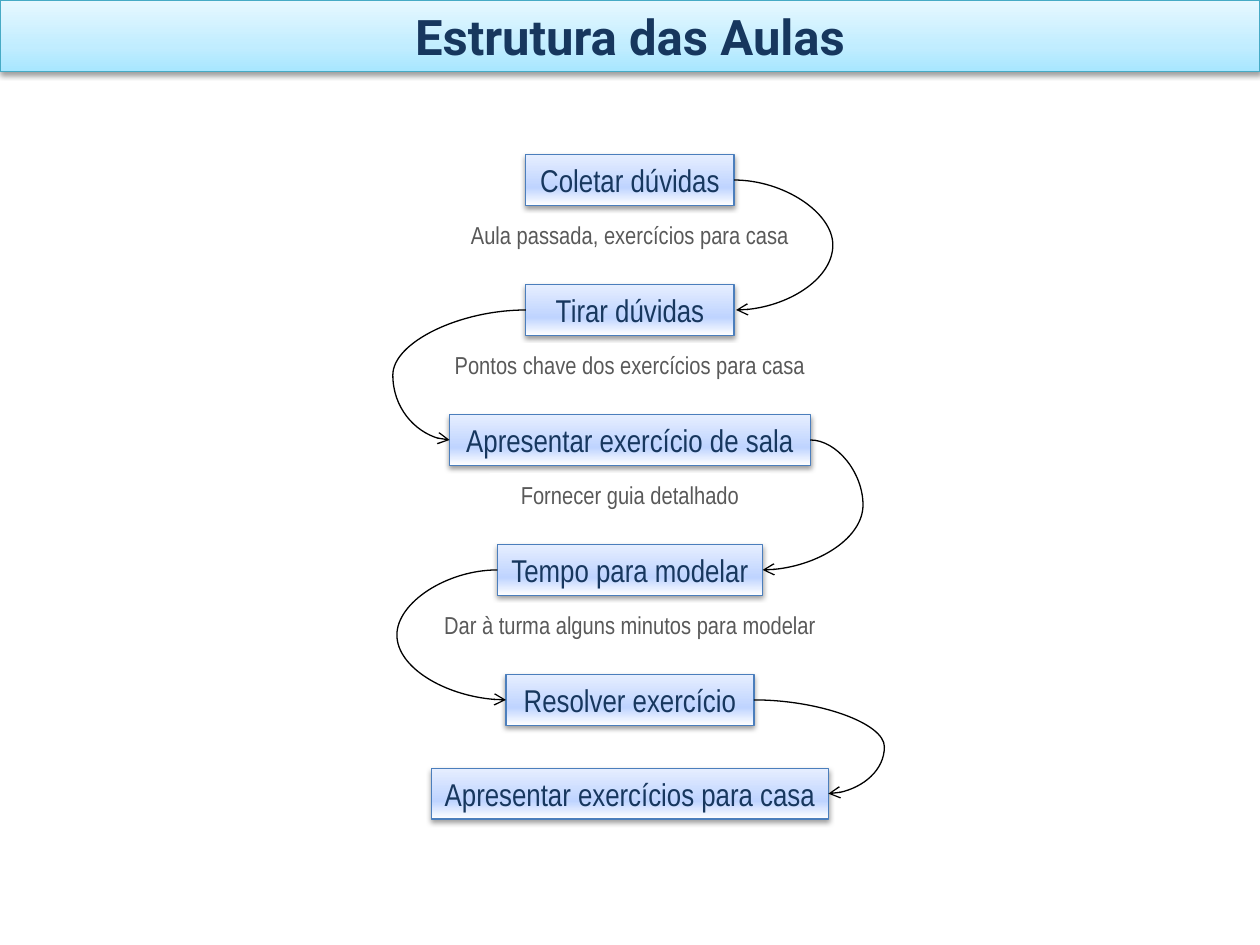
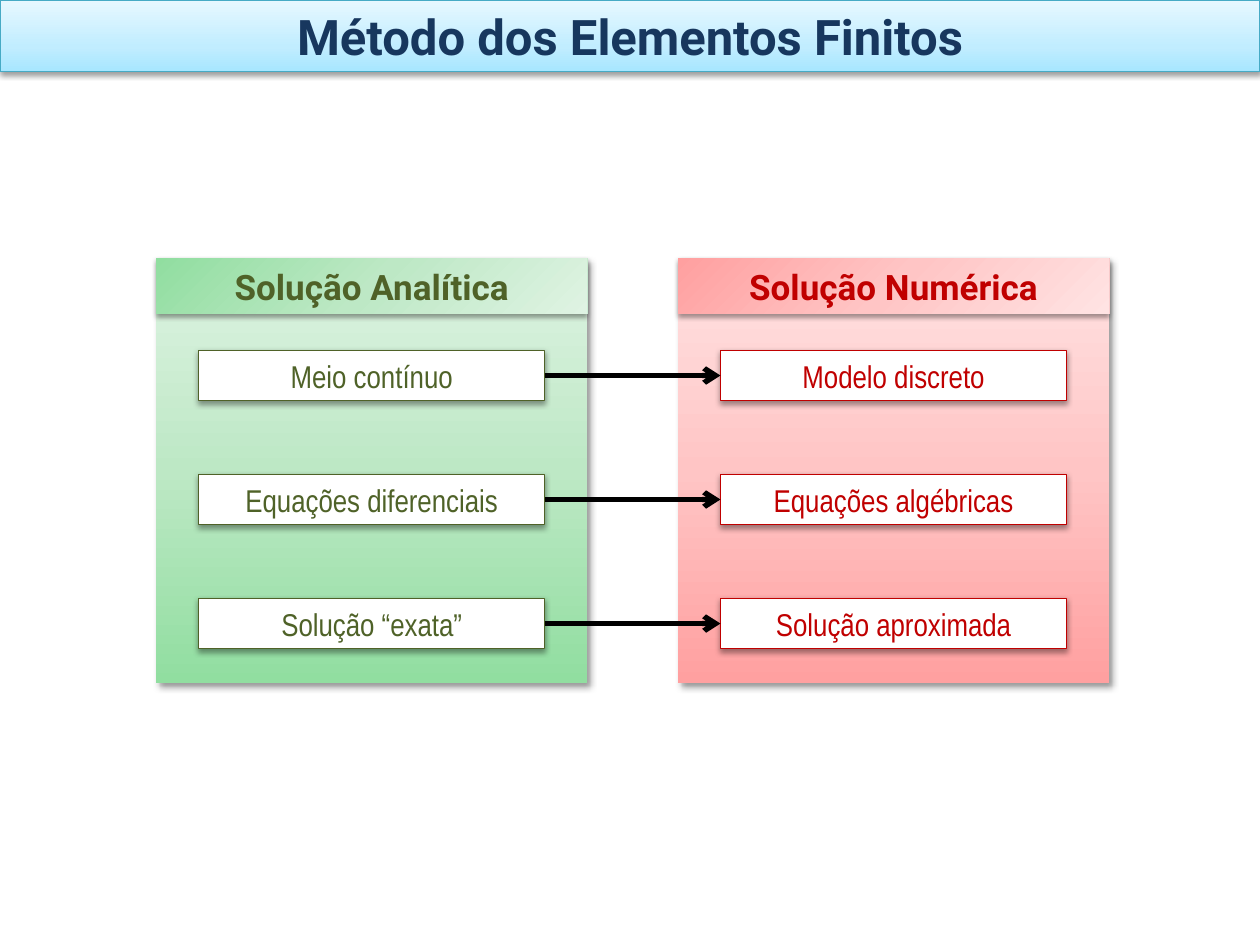
from copy import deepcopy
from dataclasses import dataclass

from pptx import Presentation
from pptx.dml.color import RGBColor
from pptx.enum.shapes import MSO_CONNECTOR as Link, MSO_SHAPE as Preset
from pptx.enum.text import MSO_ANCHOR as Anchor, PP_ALIGN as Align
from pptx.oxml.ns import qn
from pptx.util import Cm, Pt
from lxml.etree import SubElement


@dataclass(frozen=True)
class Theme:
    # Fonts and type sizes
    heading_font: str = "Roboto"
    body_font: str = "Arial Narrow"
    title_size: int = 28
    header_size: int = 20
    body_size: int = 18
    note_size: int = 14
    # Colours
    navy: str = "17375E"
    grey: str = "595959"
    white: str = "FFFFFF"
    black: str = "000000"
    green: str = "4F6228"
    red: str = "C00000"
    band_line: str = "46AAC5"
    step_line: str = "4B7EBC"
    # Gradients: (position, colour)
    band_fill: tuple = ((0, "A7E6FF"), (0.35, "C1EDFF"), (1, "E7F8FF"))
    step_fill: tuple = ((0, "FFFFFF"), (0.35, "BFD4FF"), (1, "E6EEFF"))
    green_fill: tuple = ((0, "91DEA0"), (0.5, "BDE8C5"), (1, "DFF3E3"))
    red_fill: tuple = ((0, "FFA0A0"), (0.5, "FFC5C5"), (1, "FFE3E3"))
    # Shadows: opacity in percent, blur, distance, direction in degrees
    soft_shadow: tuple = (38, 3.1, 1.6, 90)
    panel_shadow: tuple = (40, 4, 3, 45)


THEME = Theme()
PAGE_W, PAGE_H = 25.4, 19.05
UPWARD, DIAGONAL = 90, 315
BOX_H = 1.02

# Class steps: text, box width, top
STEP_TOP, STEP_PITCH = 3.12, 2.62
STEPS = [
    ("Coletar dúvidas", 4.2),
    ("Tirar dúvidas", 4.2),
    ("Apresentar exercício de sala", 7.27),
    ("Tempo para modelar", 5.35),
    ("Resolver exercício", 5),
    ("Apresentar exercícios para casa", 8),
]
LAST_STEP_TOP = 15.49
NOTES = [
    ("Aula passada, exercícios para casa", 7.98),
    ("Pontos chave dos exercícios para casa", 8.6),
    ("Fornecer guia detalhado", 5.66),
    ("Dar à turma alguns minutos para modelar", 10.1),
]
BULGES = [16.79, 7.92, 17.4, 8, 17.83]

# Solution columns: left, header, colour, gradient, entries
COLUMNS = [
    (3.15, "Solução Analítica", THEME.green, THEME.green_fill,
     ["Meio contínuo", "Equações diferenciais", "Solução “exata”"]),
    (13.67, "Solução Numérica", THEME.red, THEME.red_fill,
     ["Modelo discreto", "Equações algébricas", "Solução aproximada"]),
]
PANEL_TOP, PANEL_W, PANEL_H, HEADER_H = 5.21, 8.69, 8.56, 1.12
ENTRY_TOP, ENTRY_W, ENTRY_PITCH = 7.06, 6.98, 2.5


def rgb(colour):
    return RGBColor.from_string(colour)


def add_gradient(shape, stops, angle):
    shape.fill.gradient()
    shape.fill.gradient_angle = angle
    stop_list = shape.element.spPr.find(".//" + qn("a:gsLst"))
    stop_list.insert(1, deepcopy(stop_list[0]))
    for stop, (position, colour) in zip(shape.fill.gradient_stops, stops):
        stop.position = position
        stop.color.rgb = rgb(colour)


def add_shadow(shape, opacity, blur, distance, direction):
    effects = shape.element.spPr.find(qn("a:effectLst"))
    shadow = SubElement(effects, qn("a:outerShdw"), blurRad=str(Pt(blur)),
                        dist=str(Pt(distance)), dir=str(direction * 60000),
                        rotWithShape="0")
    colour = SubElement(shadow, qn("a:srgbClr"), val=THEME.black)
    SubElement(colour, qn("a:alpha"), val=str(opacity * 1000))


def add_box(slide, left, top, width, height, fill, angle=UPWARD, line=None, shadow=None):
    box = slide.shapes.add_shape(Preset.RECTANGLE, Cm(left), Cm(top), Cm(width), Cm(height))
    if isinstance(fill, str):
        box.fill.solid()
        box.fill.fore_color.rgb = rgb(fill)
    else:
        add_gradient(box, fill, angle)
    if line:
        box.line.color.rgb = rgb(line)
        box.line.width = Pt(0.75)
    else:
        box.line.fill.background()
    box.shadow.inherit = False
    if shadow:
        add_shadow(box, *shadow)
    return box


def write(box, text, *, size=THEME.body_size, font=THEME.body_font, colour=THEME.navy, bold=False):
    frame = box.text_frame
    frame.word_wrap = False
    frame.vertical_anchor = Anchor.MIDDLE
    paragraph = frame.paragraphs[0]
    paragraph.alignment = Align.CENTER
    run = paragraph.add_run()
    run.text = text
    run.font.size = Pt(size)
    run.font.name = font
    run.font.bold = bold
    run.font.color.rgb = rgb(colour)


def add_arrow(slide, kind, start, end, weight):
    arrow = slide.shapes.add_connector(kind, *start, *end)
    arrow.line.color.rgb = rgb(THEME.black)
    arrow.line.width = Pt(weight)
    SubElement(arrow.line._get_or_add_ln(), qn("a:tailEnd"), type="arrow")
    SubElement(arrow.element.spPr, qn("a:effectLst"))
    return arrow


def add_curve(slide, source, target, bulge):
    """Curved arrow between facing sides, swinging out to x = bulge."""
    rightward = bulge > PAGE_W / 2

    def side(box):
        x = box.left + box.width if rightward else box.left
        return x, box.top + box.height // 2

    start, end = side(source), side(target)
    if start[0] == end[0]:
        end = (end[0] + Cm(0.04), end[1])
    curve = add_arrow(slide, Link.CURVE, start, end, 0.75)
    swing = round(100000 * (Cm(bulge) - start[0]) / (end[0] - start[0]))
    guides = curve.element.spPr.find(qn("a:prstGeom")).get_or_add_avLst()
    SubElement(guides, qn("a:gd"), name="adj1", fmla=f"val {swing}")


def add_title(slide, text):
    band = add_box(slide, 0, 0, PAGE_W, 1.45, THEME.band_fill,
                   line=THEME.band_line, shadow=THEME.soft_shadow)
    write(band, text, size=THEME.title_size, font=THEME.heading_font, bold=True)


def add_step(slide, text, width, top):
    step = add_box(slide, (PAGE_W - width) / 2, top, width, BOX_H, THEME.step_fill,
                   line=THEME.step_line, shadow=THEME.soft_shadow)
    write(step, text)
    return step


def add_note(slide, text, width, top):
    note = add_box(slide, (PAGE_W - width) / 2, top, width, 0.86, THEME.white)
    write(note, text, size=THEME.note_size, colour=THEME.grey)


def add_column(slide, left, header_text, colour, gradient, entries):
    add_box(slide, left, PANEL_TOP, PANEL_W, PANEL_H, gradient, shadow=THEME.panel_shadow)
    header = add_box(slide, left, PANEL_TOP, PANEL_W, HEADER_H, gradient,
                     angle=DIAGONAL, shadow=THEME.soft_shadow)
    write(header, header_text, size=THEME.header_size, font=THEME.heading_font,
          colour=colour, bold=True)
    entry_boxes = []
    for row, text in enumerate(entries):
        entry = add_box(slide, left + (PANEL_W - ENTRY_W) / 2, ENTRY_TOP + row * ENTRY_PITCH,
                        ENTRY_W, BOX_H, THEME.white, line=colour, shadow=THEME.soft_shadow)
        write(entry, text, colour=colour)
        entry_boxes.append(entry)
    return entry_boxes


def build_class_structure(slide):
    add_title(slide, "Estrutura das Aulas")
    tops = [STEP_TOP + row * STEP_PITCH for row in range(len(STEPS) - 1)] + [LAST_STEP_TOP]
    steps = [add_step(slide, *step, top) for step, top in zip(STEPS, tops)]
    for note, top in zip(NOTES, tops):
        add_note(slide, *note, top + 1.18)
    for source, target, bulge in zip(steps, steps[1:], BULGES):
        add_curve(slide, source, target, bulge)


def build_finite_elements(slide):
    add_title(slide, "Método dos Elementos Finitos")
    analytic, numeric = [add_column(slide, *column) for column in COLUMNS]
    for source, target in zip(analytic, numeric):
        arrow = add_arrow(slide, Link.STRAIGHT, (0, 0), (0, 0), 3)
        arrow.begin_connect(source, 3)
        arrow.end_connect(target, 1)


def main():
    deck = Presentation()
    deck.slide_width, deck.slide_height = Cm(PAGE_W), Cm(PAGE_H)
    blank = deck.slide_layouts[6]
    for build in (build_class_structure, build_finite_elements):
        build(deck.slides.add_slide(blank))
    deck.save("out.pptx")


if __name__ == "__main__":
    main()
